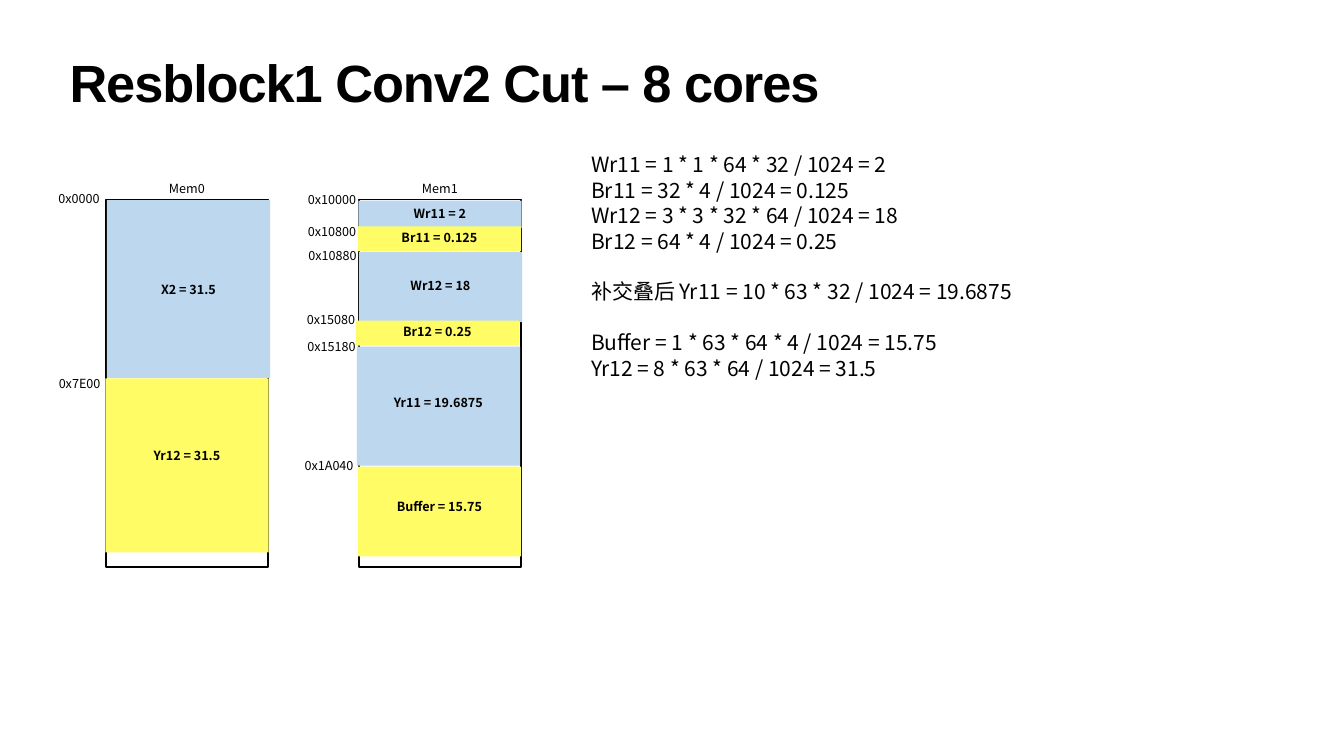
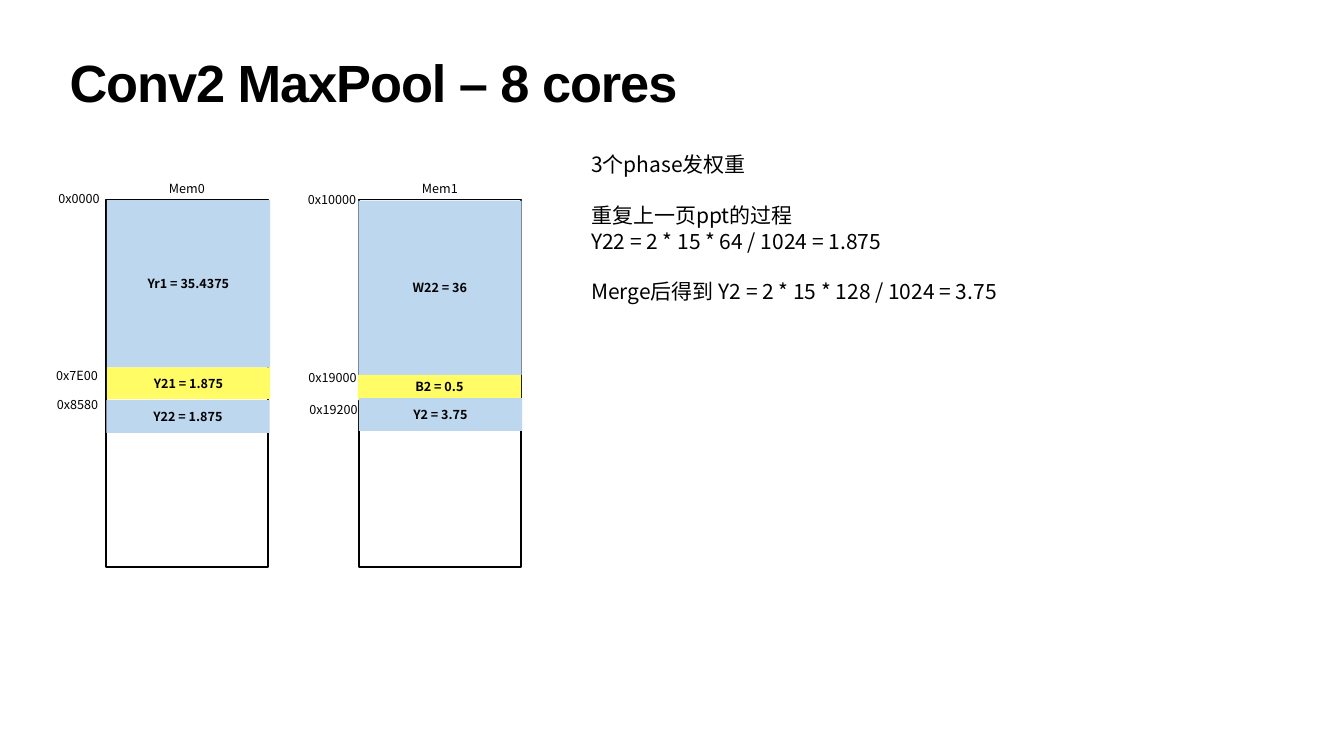
from lxml import etree
from pptx import Presentation
from pptx.dml.color import RGBColor
from pptx.enum.shapes import MSO_SHAPE
from pptx.enum.text import MSO_ANCHOR, MSO_AUTO_SIZE, PP_ALIGN
from pptx.oxml.ns import qn
from pptx.util import Inches, Pt

RECTANGLE = MSO_SHAPE.RECTANGLE
TOP, MIDDLE = MSO_ANCHOR.TOP, MSO_ANCHOR.MIDDLE
LEFT, CENTER = PP_ALIGN.LEFT, PP_ALIGN.CENTER
NO_AUTOFIT = MSO_AUTO_SIZE.NONE

# The grid has one-inch cells
COLUMNS, ROWS = 26.67, 15
TITLE_FONT, TEXT_FONT = "Arial", "Noto Sans CJK SC"
BLACK, BLUE, YELLOW = "000000", "BDD7EE", "FFFC66"
LINE_HEIGHT = 1.21
MARGIN = 0.05

# Memory banks
BANK_TOP, BANK_WIDTH, BANK_HEIGHT = 3.96, 3.22, 7.29
BANKS = [("Mem0", 2.1), ("Mem1", 7.12)]
BLOCK_WIDTH = 3.24
LABEL_WIDTH, LABEL_HEIGHT = 1.1, 0.4


def color(hex_string):
    return RGBColor.from_string(hex_string)


class MemorySlides:
    """Holds the deck style and the slide being filled."""

    def __init__(self):
        self.presentation = Presentation()
        self.presentation.slide_width = Inches(COLUMNS)
        self.presentation.slide_height = Inches(ROWS)
        self.slide = None

    def place(self, shape, left, top, width, height):
        shape.left, shape.top = Inches(left), Inches(top)
        shape.width, shape.height = Inches(width), Inches(height)

    def frame(self, shape, anchor=TOP, margin=MARGIN, wrap=True):
        text_frame = shape.text_frame
        text_frame.auto_size = NO_AUTOFIT
        text_frame.word_wrap = wrap
        text_frame.vertical_anchor = anchor
        text_frame.margin_left = text_frame.margin_right = Inches(margin)
        text_frame.margin_top = text_frame.margin_bottom = Inches(margin)
        return text_frame

    def format(self, paragraph, size, align=CENTER, bold=False):
        paragraph.alignment = align
        paragraph.line_spacing = Pt(round(size * LINE_HEIGHT, 1))
        paragraph.space_before = paragraph.space_after = Pt(0)
        for run in paragraph.runs:
            run.font.name = TEXT_FONT
            run.font.size = Pt(size)
            run.font.bold = bold
            run.font.color.rgb = color(BLACK)
            latin = run.font._element.find(qn("a:latin"))
            east_asian = etree.Element(qn("a:ea"), typeface=TEXT_FONT)
            latin.addnext(east_asian)

    def add_slide(self, title):
        layout = self.presentation.slide_layouts[1]
        self.slide = self.presentation.slides.add_slide(layout)
        shape = self.slide.shapes.title
        self.place(shape, 1.32, 1.18, 24.03, 1.57)
        text_frame = self.frame(shape, margin=0.06)
        text_frame.text = title
        paragraph = text_frame.paragraphs[0]
        paragraph.alignment = LEFT
        paragraph.line_spacing = 0.8
        font = paragraph.runs[0].font
        font.name, font.size, font.bold = TITLE_FONT, Pt(74.8), True
        font.color.rgb = color(BLACK)
        font._element.set("spc", "-150")

    def add_notes(self, groups, size=30):
        """Fill the body; each group after the first starts one line lower."""
        shape = self.slide.placeholders[1]
        lines = sum(map(len, groups)) + len(groups) - 1
        height = lines * size * LINE_HEIGHT / 72 + 2 * MARGIN
        self.place(shape, 11.68, 2.96, 13.3, height)
        text_frame = self.frame(shape)
        text_frame.text = "\n".join(line for group in groups for line in group)
        paragraphs = iter(text_frame.paragraphs)
        for group_index, group in enumerate(groups):
            for line_index in range(len(group)):
                paragraph = next(paragraphs)
                properties = paragraph._p.get_or_add_pPr()
                properties.set("marL", "0")
                properties.set("indent", "0")
                etree.SubElement(properties, qn("a:buNone"))
                self.format(paragraph, size, LEFT)
                if group_index and not line_index:
                    paragraph.space_before = paragraph.line_spacing

    def add_label(self, text, left, top):
        shape = self.slide.shapes.add_textbox(0, 0, 0, 0)
        self.place(shape, left, top, LABEL_WIDTH, LABEL_HEIGHT)
        text_frame = self.frame(shape, wrap=False)
        text_frame.text = text
        self.format(text_frame.paragraphs[0], 18)

    def add_rectangle(self, left, top, width, height):
        shape = self.slide.shapes.add_shape(RECTANGLE, 0, 0, 0, 0)
        self.place(shape, left, top, width, height)
        shape.shadow.inherit = False
        return shape

    def add_bank(self, name, left):
        shape = self.add_rectangle(left, BANK_TOP, BANK_WIDTH, BANK_HEIGHT)
        shape.fill.background()
        shape.line.color.rgb = color(BLACK)
        shape.line.width = Pt(2.25)
        center = left + BANK_WIDTH / 2
        self.add_label(name, center - LABEL_WIDTH / 2, BANK_TOP - 0.43)

    def add_block(self, text, left, top, height, fill, lift=0):
        """Draw a memory block; lift raises its text above the middle."""
        shape = self.add_rectangle(left, top, BLOCK_WIDTH, height)
        shape.fill.solid()
        shape.fill.fore_color.rgb = color(fill)
        shape.line.fill.background()
        text_frame = self.frame(shape, MIDDLE)
        text_frame.margin_bottom = Inches(MARGIN + 2 * lift)
        text_frame.text = text
        self.format(text_frame.paragraphs[0], 18, bold=True)

    def add_memory_map(self, blocks, addresses):
        for bank in BANKS:
            self.add_bank(*bank)
        for block in blocks:
            self.add_block(*block)
        for address in START_ADDRESSES + addresses:
            self.add_label(*address)


# Addresses: text, left, top
START_ADDRESSES = [("0x0000", 1.02, 3.74), ("0x10000", 6.04, 3.75)]

# Slides; blocks: text, left, top, height, fill, text lift
SLIDES = [
    {
        "title": "Resblock1 Conv2 Cut – 8 cores",
        "notes": [
            ["Wr11 = 1 * 1 * 64 * 32 / 1024 = 2",
             "Br11 = 32 * 4 / 1024 = 0.125",
             "Wr12 = 3 * 3 * 32 * 64 / 1024 = 18",
             "Br12 = 64 * 4 / 1024 = 0.25"],
            ["补交叠后 Yr11 = 10 * 63 * 32 / 1024 = 19.6875"],
            ["Buffer = 1 * 63 * 64 * 4 / 1024 = 15.75",
             "Yr12 = 8 * 63 * 64 / 1024 = 31.5"],
        ],
        "blocks": [
            ("Wr11 = 2", 7.11, 3.98, 0.54, BLUE, 0.01),
            ("Br11 = 0.125", 7.1, 4.49, 0.5, YELLOW, 0.03),
            ("X2 = 31.5", 2.12, 3.97, 3.53, BLUE),
            ("Wr12 = 18", 7.12, 5, 1.39, BLUE, 0.04),
            ("Br12 = 0.25", 7.06, 6.36, 0.5, YELLOW, 0.03),
            ("Yr11 = 19.6875", 7.08, 6.88, 2.36, BLUE, 0.07),
            ("Buffer = 15.75", 7.1, 9.26, 1.78, YELLOW, 0.1),
            ("Yr12 = 31.5", 2.09, 7.51, 3.45, YELLOW, 0.2),
        ],
        "addresses": [
            ("0x10800", 6.04, 4.39), ("0x10880", 6.05, 4.86),
            ("0x15080", 6.02, 6.14), ("0x15180", 6.03, 6.68),
            ("0x1A040", 5.98, 9.03), ("0x7E00", 1.03, 7.4),
        ],
    },
    {
        "title": "Conv2 MaxPool – 8 cores",
        "notes": [
            ["3个phase发权重"],
            ["重复上一页ppt的过程",
             "Y22 = 2 * 15 * 64 / 1024 = 1.875"],
            ["Merge后得到 Y2 = 2 * 15 * 128 / 1024 = 3.75"],
        ],
        "blocks": [
            ("W22 = 36", 7.11, 3.98, 3.46, BLUE),
            ("B2 = 0.5", 7.1, 7.44, 0.5, YELLOW, 0.03),
            ("Yr1 = 35.4375", 2.12, 3.97, 3.32, BLUE),
            ("Y2 = 3.75", 7.12, 7.9, 0.65, BLUE),
            ("Y21 = 1.875", 2.12, 7.29, 0.63, YELLOW),
            ("Y22 = 1.875", 2.11, 7.94, 0.65, BLUE),
        ],
        "addresses": [
            ("0x7E00", 0.98, 7.25), ("0x19000", 6.05, 7.29),
            ("0x8580", 0.99, 7.82), ("0x19200", 6.07, 7.93),
        ],
    },
]


def main():
    deck = MemorySlides()
    for content in SLIDES:
        deck.add_slide(content["title"])
        deck.add_notes(content["notes"])
        deck.add_memory_map(content["blocks"], content["addresses"])
    deck.presentation.save("out.pptx")


if __name__ == "__main__":
    main()
